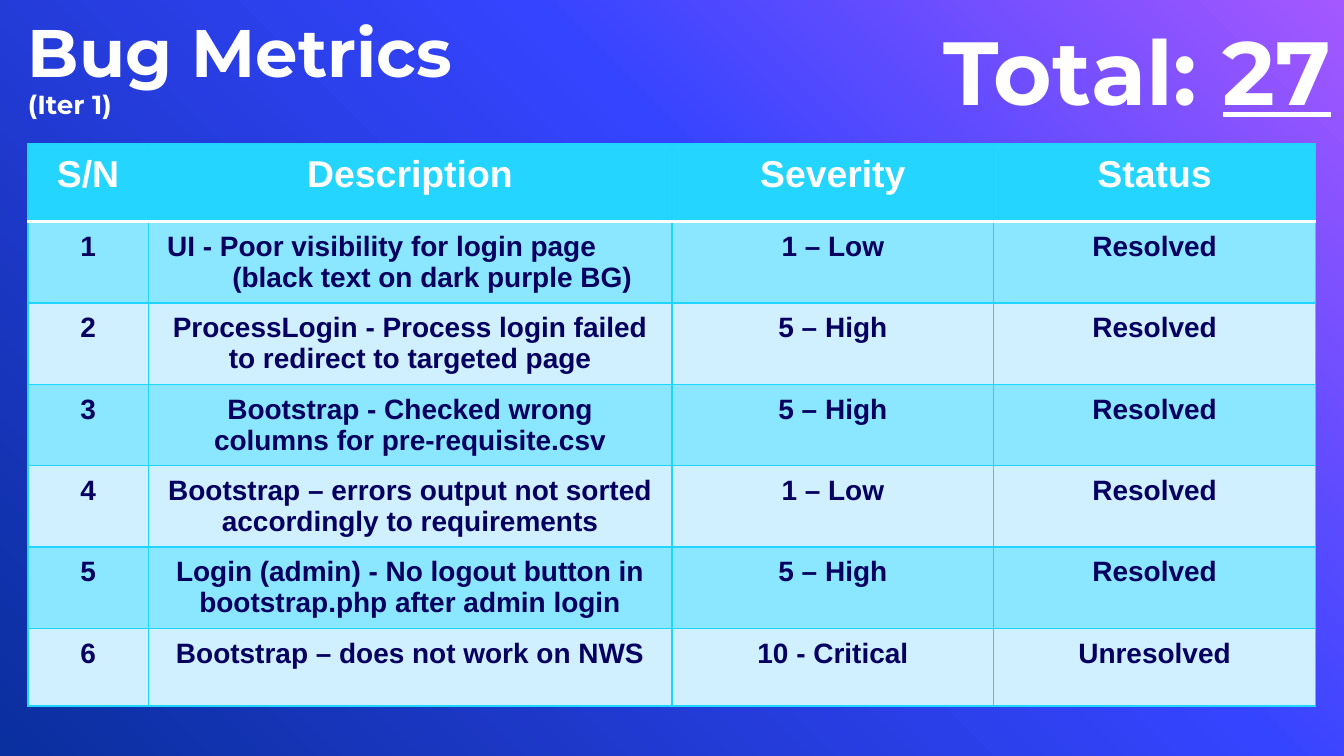
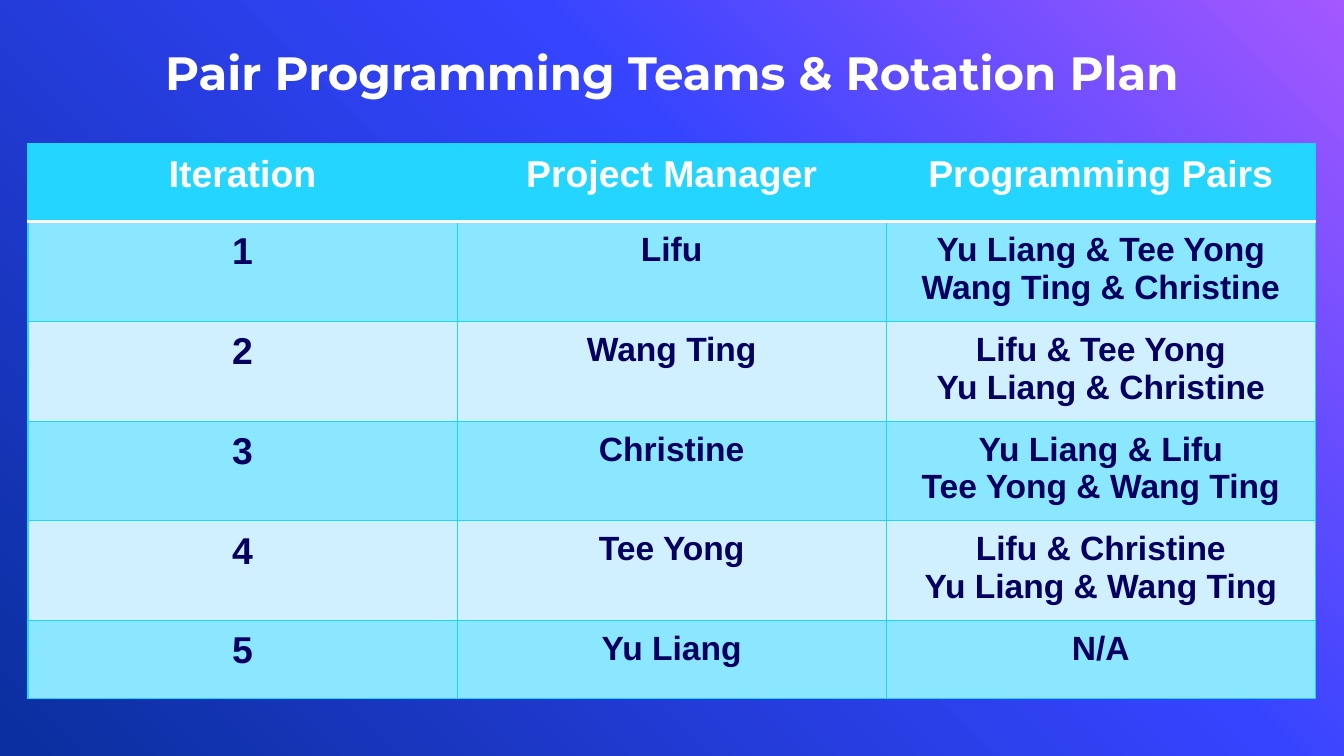
from dataclasses import dataclass

from lxml import etree
from pptx import Presentation
from pptx.dml.color import RGBColor
from pptx.enum.text import MSO_ANCHOR, PP_ALIGN
from pptx.oxml import parse_xml
from pptx.oxml.ns import nsdecls, qn
from pptx.slide import Slide
from pptx.table import _Cell
from pptx.text.text import _Run
from pptx.util import Cm, Pt

WHITE = RGBColor(0xFF, 0xFF, 0xFF)
NAVY = RGBColor(0x05, 0x00, 0x60)
CYAN = RGBColor(0x24, 0xD6, 0xFF)
EDGE = RGBColor(0x1E, 0xD5, 0xFF)
BANDS = (RGBColor(0x8B, 0xE6, 0xFF), RGBColor(0xD0, 0xEF, 0xFF))
STOPS = (
    (0, RGBColor(0xA4, 0x58, 0xFF)),
    (39, RGBColor(0x35, 0x44, 0xFF)),
    (100, RGBColor(0x0A, 0x2F, 0x9E)),
)
ANGLE = 135
BOTTOM = MSO_ANCHOR.BOTTOM
LEFT, CENTER = PP_ALIGN.LEFT, PP_ALIGN.CENTER
TITLE_FONT, TABLE_FONT = "Montserrat", "Arial"
WIDTH, HEIGHT = Cm(25.4), Cm(14.29)
GRID_LEFT, GRID_TOP, ROW = Cm(0.53), Cm(2.72), Cm(1.47)
PAD_X, PAD_Y = Cm(0.36), Cm(0.18)
HANG = Cm(1.23)
HEAD_SIZE = 20


@dataclass(frozen=True)
class Span:
    """A piece of title text."""

    text: str
    size: float
    under: bool = False


@dataclass(frozen=True)
class Label:
    """A title box in centimetres, with its lines of spans."""

    left: float
    top: float
    width: float
    height: float
    lines: tuple[tuple[Span, ...], ...]
    align: PP_ALIGN = LEFT


@dataclass(frozen=True)
class Grid:
    """A table with column widths in centimetres and body text sizes."""

    heads: tuple[str, ...]
    widths: tuple[float, ...]
    sizes: tuple[float, ...]
    rows: tuple[tuple[str, ...], ...]
    hung: tuple[tuple[int, int], ...] = ()


@dataclass(frozen=True)
class Page:
    """The titles and the table of one slide."""

    labels: tuple[Label, ...]
    grid: Grid


BUGS = Page(
    labels=(
        Label(0.53, 0.43, 14.1, 1.85,
              ((Span("Bug Metrics", 36),), (Span("(Iter 1)", 14),))),
        Label(17.83, 0.15, 7.57, 2.21,
              ((Span("Total: ", 48), Span("27", 48, True)),)),
    ),
    grid=Grid(
        heads=("S/N", "Description", "Severity", "Status"),
        widths=(2.27, 9.9, 6.08, 6.08),
        sizes=(15, 15, 15, 15),
        rows=(
            ("1", "UI - Poor visibility for login page (black text on dark purple BG)",
             "1 – Low", "Resolved"),
            ("2", "ProcessLogin - Process login failed to redirect to targeted page",
             "5 – High", "Resolved"),
            ("3", "Bootstrap - Checked wrong columns for pre-requisite.csv",
             "5 – High", "Resolved"),
            ("4", "Bootstrap – errors output not sorted accordingly to requirements",
             "1 – Low", "Resolved"),
            ("5", "Login (admin) - No logout button in bootstrap.php after admin login",
             "5 – High", "Resolved"),
            ("6", "Bootstrap – does not work on NWS", "10 - Critical", "Unresolved"),
        ),
        hung=((1, 1),),
    ),
)

PAIRS = Page(
    labels=(
        Label(0, 0.46, 25.4, 1.45,
              ((Span("Pair Programming Teams & Rotation Plan", 25),),), CENTER),
    ),
    grid=Grid(
        heads=("Iteration", "Project Manager", "Programming Pairs"),
        widths=(8.11, 8.11, 8.11),
        sizes=(20, 18, 18),
        rows=(
            ("1", "Lifu", "Yu Liang & Tee Yong\nWang Ting & Christine"),
            ("2", "Wang Ting", "Lifu & Tee Yong\nYu Liang & Christine"),
            ("3", "Christine", "Yu Liang & Lifu\nTee Yong & Wang Ting"),
            ("4", "Tee Yong", "Lifu & Christine\nYu Liang & Wang Ting"),
            ("5", "Yu Liang", "N/A"),
        ),
    ),
)


def style_run(run: _Run, font: str, size: float, color: RGBColor) -> None:
    """Give a run its bold face, size and colour."""
    run.font.name = font
    run.font.size = Pt(size)
    run.font.bold = True
    run.font.color.rgb = color


def paint_back(slide: Slide) -> None:
    """Fill the background with the shared gradient."""
    stops = "".join(
        f'<a:gs pos="{pos * 1000}"><a:srgbClr val="{color}"/></a:gs>'
        for pos, color in STOPS
    )
    back = parse_xml(
        f'<p:bg {nsdecls("p", "a")}><p:bgPr><a:gradFill rotWithShape="1">'
        f'<a:gsLst>{stops}</a:gsLst><a:lin ang="{ANGLE * 60000}" scaled="0"/>'
        "</a:gradFill><a:effectLst/></p:bgPr></p:bg>"
    )
    slide.element.cSld.insert(0, back)


def add_label(slide: Slide, label: Label) -> None:
    """Draw a title box."""
    box = slide.shapes.add_textbox(
        Cm(label.left), Cm(label.top), Cm(label.width), Cm(label.height))
    frame = box.text_frame
    frame.word_wrap = True
    frame.vertical_anchor = BOTTOM
    frame.margin_left = frame.margin_right = 0
    frame.margin_top = frame.margin_bottom = 0
    for row, spans in enumerate(label.lines):
        para = frame.add_paragraph() if row else frame.paragraphs[0]
        para.alignment = label.align
        para.line_spacing = 0.9
        for span in spans:
            run = para.add_run()
            run.text = span.text
            style_run(run, TITLE_FONT, span.size, WHITE)
            run.font.underline = span.under


def add_edge(cell: _Cell, side: str, color: RGBColor, width: float) -> None:
    """Draw one border of a cell."""
    props = cell._tc.get_or_add_tcPr()
    line = etree.SubElement(props, qn(f"a:ln{side}"), w=str(Pt(width)))
    fill = etree.SubElement(line, qn("a:solidFill"))
    etree.SubElement(fill, qn("a:srgbClr"), val=str(color))


def fill_cell(cell: _Cell, text: str, size: float, row: int) -> None:
    """Write a cell and style it by its row."""
    cell.margin_left = cell.margin_right = PAD_X
    cell.margin_top = cell.margin_bottom = PAD_Y
    rule = {0: "B", 1: "T"}.get(row)
    for side in "LRTB":
        add_edge(cell, side, *((WHITE, 2) if side == rule else (EDGE, 0.75)))
    cell.fill.solid()
    cell.fill.fore_color.rgb = BANDS[(row - 1) % 2] if row else CYAN
    cell.text_frame.text = text
    for para in cell.text_frame.paragraphs:
        para.alignment = CENTER
        for run in para.runs:
            style_run(run, TABLE_FONT, size, NAVY if row else WHITE)


def hang_cell(cell: _Cell) -> None:
    """Align a cell left with a hanging indent."""
    para = cell.text_frame.paragraphs[0]
    para.alignment = LEFT
    props = para._p.get_or_add_pPr()
    props.set("marL", str(HANG))
    props.set("indent", str(-HANG))


def add_grid(slide: Slide, grid: Grid) -> None:
    """Draw a table with a header and banded rows."""
    lines = (grid.heads, *grid.rows)
    table = slide.shapes.add_table(
        len(lines), len(grid.heads), GRID_LEFT, GRID_TOP,
        Cm(sum(grid.widths)), ROW * len(lines)).table
    for col, width in zip(table.columns, grid.widths):
        col.width = Cm(width)
    for row, texts in enumerate(lines):
        table.rows[row].height = ROW
        for col, text in enumerate(texts):
            size = grid.sizes[col] if row else HEAD_SIZE
            fill_cell(table.cell(row, col), text, size, row)
    for row, col in grid.hung:
        hang_cell(table.cell(row, col))


def main() -> None:
    """Build and save the slides."""
    deck = Presentation()
    deck.slide_width, deck.slide_height = WIDTH, HEIGHT
    for page in (BUGS, PAIRS):
        slide = deck.slides.add_slide(deck.slide_layouts[6])
        paint_back(slide)
        add_grid(slide, page.grid)
        for label in page.labels:
            add_label(slide, label)
    deck.save("out.pptx")


if __name__ == "__main__":
    main()
